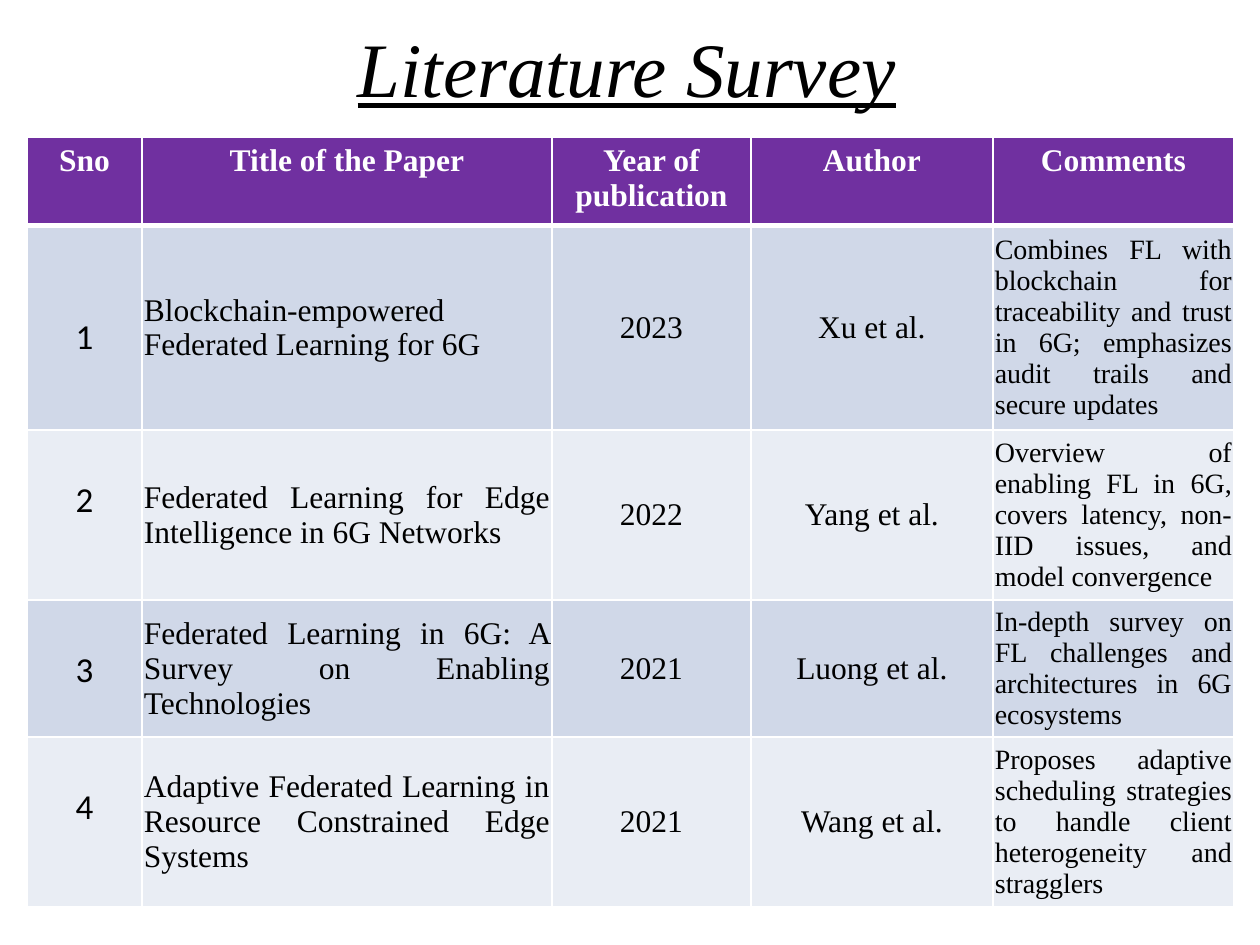
from dataclasses import dataclass

from lxml import etree
from pptx import Presentation
from pptx import util as u
from pptx.dml.color import RGBColor
from pptx.enum import text
from pptx.oxml import ns

SCALE = 914400 / 126


@dataclass(frozen=True)
class Theme:
    serif: str = "Times New Roman"
    sans: str = "Calibri"
    ink: str = "000000"
    white: str = "FFFFFF"
    header: str = "7030A0"
    bands: tuple = ("D0D8E8", "E9EDF4")
    title_size: int = 44
    number_size: int = 20
    body_size: int = 18
    comment_size: int = 16
    thin: int = 1
    thick: int = 3


THEME = Theme()
CENTER = text.PP_ALIGN.CENTER
JUSTIFY = text.PP_ALIGN.JUSTIFY
COLUMNS = [115, 410, 199, 242, 241]
ROWS = [87, 205, 170, 137, 170]
HEADINGS = ["Sno", "Title of the Paper", "Year of publication", "Author", "Comments"]
PAPERS = [
    ("Blockchain-empowered Federated Learning for 6G", "2023", "Xu et al.",
     "Combines FL with blockchain for traceability and trust in 6G; "
     "emphasizes audit trails and secure updates"),
    ("Federated Learning for Edge Intelligence in 6G Networks", "2022", "Yang et al.",
     "Overview of enabling FL in 6G, covers latency, non-IID issues, "
     "and model convergence"),
    ("Federated Learning in 6G: A Survey on Enabling Technologies", "2021", "Luong et al.",
     "In-depth survey on FL challenges and architectures in 6G ecosystems"),
    ("Adaptive Federated Learning in Resource Constrained Edge Systems", "2021", "Wang et al.",
     "Proposes adaptive scheduling strategies to handle client heterogeneity "
     "and stragglers"),
]


def px(length):
    return u.Emu(round(length * SCALE))


def write(frame, words, size, align=CENTER, name=THEME.serif, color=THEME.ink, bold=False):
    para = frame.paragraphs[0]
    para.text = words
    para.alignment = align
    font = para.font
    font.name, font.size, font.bold = name, u.Pt(size), bold
    font.color.rgb = RGBColor.from_string(color)
    return font


def add_title(page, words):
    box = page.shapes.add_textbox(px(60), px(14), px(1134), px(158))
    box.text_frame.word_wrap = True
    font = write(box.text_frame, words, THEME.title_size)
    font.italic = font.underline = True


def set_border(cell, side, points):
    line = etree.SubElement(cell._tc.get_or_add_tcPr(), ns.qn(f"a:ln{side}"),
                            w=str(u.Pt(points)))
    fill = etree.SubElement(line, ns.qn("a:solidFill"))
    etree.SubElement(fill, ns.qn("a:srgbClr"), val=THEME.white)


def paint_cell(cell, color, top=THEME.thin, bottom=THEME.thin):
    for side, points in zip("LRTB", (THEME.thin, THEME.thin, top, bottom)):
        set_border(cell, side, points)
    cell.fill.solid()
    cell.fill.fore_color.rgb = RGBColor.from_string(color)


def fill_header(table):
    for column, heading in enumerate(HEADINGS):
        cell = table.cell(0, column)
        paint_cell(cell, THEME.header, bottom=THEME.thick)
        write(cell.text_frame, heading, THEME.body_size, color=THEME.white, bold=True)


def fill_number(cell, number):
    cell.margin_top = px(91 if number == 1 else 49)
    write(cell.text_frame, str(number), THEME.number_size, name=THEME.sans)


def fill_detail(cell, words, size, align):
    cell.vertical_anchor = text.MSO_ANCHOR.MIDDLE
    cell.margin_left = cell.margin_right = px(2)
    cell.margin_top = cell.margin_bottom = px(1)
    write(cell.text_frame, words, size, align)


def fill_paper(table, number, paper):
    styles = [(THEME.body_size, JUSTIFY), (THEME.body_size, CENTER),
              (THEME.body_size, CENTER), (THEME.comment_size, JUSTIFY)]
    top = THEME.thick if number == 1 else THEME.thin
    for column in range(len(COLUMNS)):
        paint_cell(table.cell(number, column), THEME.bands[(number - 1) % 2], top=top)
    fill_number(table.cell(number, 0), number)
    for column, (words, style) in enumerate(zip(paper, styles), 1):
        fill_detail(table.cell(number, column), words, *style)


def add_survey(page):
    table = page.shapes.add_table(len(ROWS), len(COLUMNS), px(27), px(137),
                                  px(sum(COLUMNS)), px(sum(ROWS))).table
    for column, width in zip(table.columns, COLUMNS):
        column.width = px(width)
    for row, height in zip(table.rows, ROWS):
        row.height = px(height)
    fill_header(table)
    for number, paper in enumerate(PAPERS, 1):
        fill_paper(table, number, paper)


def main():
    deck = Presentation()
    deck.slide_width, deck.slide_height = px(1260), px(945)
    page = deck.slides.add_slide(deck.slide_layouts[6])
    add_title(page, "Literature Survey")
    add_survey(page)
    deck.save("out.pptx")


if __name__ == "__main__":
    main()
